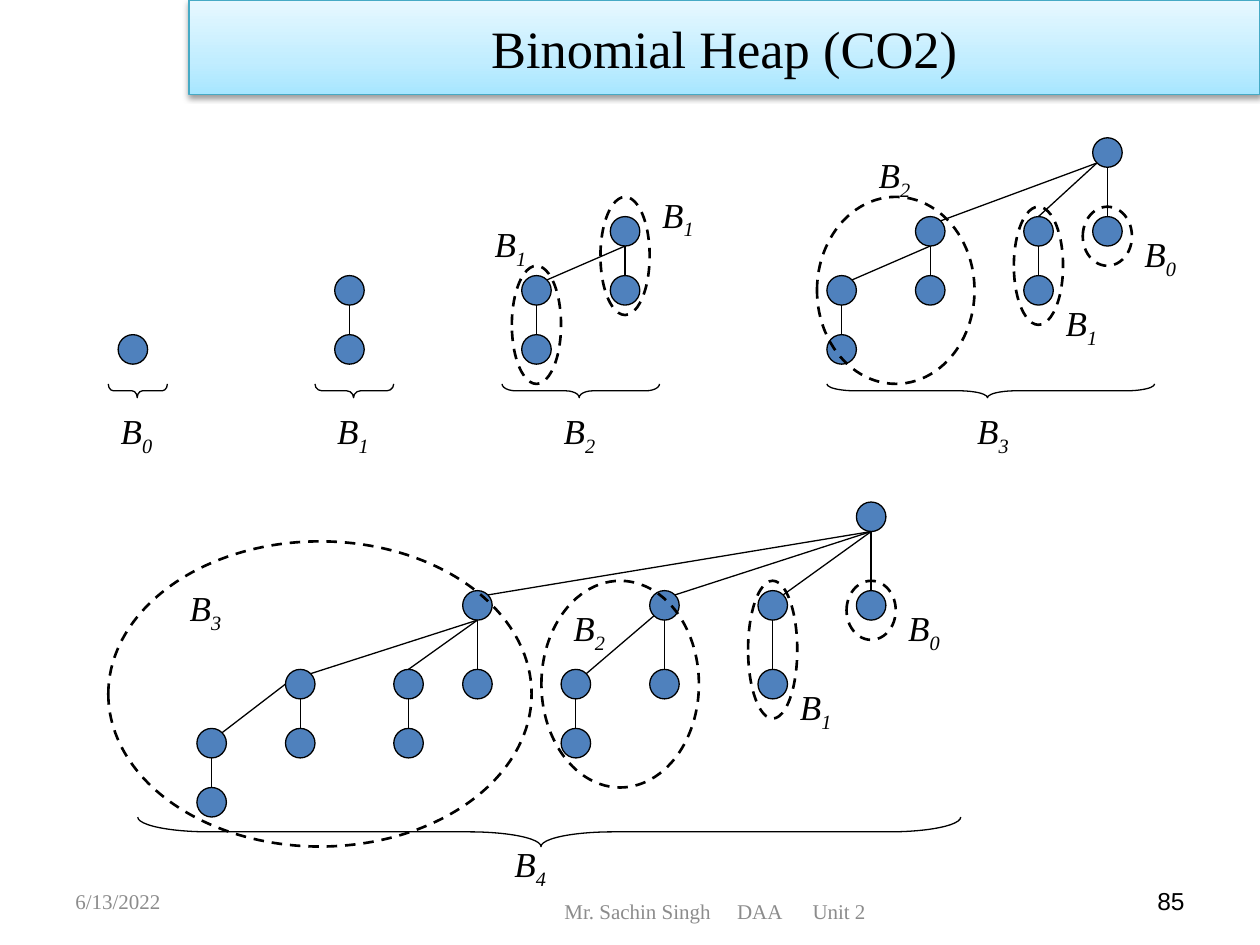
from copy import deepcopy
from math import sqrt

from lxml.etree import SubElement
from pptx import Presentation
from pptx.dml.color import RGBColor
from pptx.enum.dml import MSO_LINE
from pptx.enum.shapes import MSO_CONNECTOR, MSO_SHAPE
from pptx.enum.text import MSO_ANCHOR, PP_ALIGN
from pptx.oxml.ns import qn
from pptx.util import Cm, Pt

GRID = 2.54 / 12.8  # the drawing sits on a grid of 12.8 steps to the inch
NODE = 3            # node diameter in grid steps
NEAR = NODE / 2 * (1 - 1 / sqrt(2))
FAR = NODE - NEAR
SITES = {
    "top": (NODE / 2, 0),
    "left": (0, NODE / 2),
    "bottom": (NODE / 2, NODE),
    "lower left": (NEAR, FAR),
    "upper right": (FAR, NEAR),
}


def color(hex_string):
    return RGBColor.from_string(hex_string)


def grid(steps):
    return Cm(steps * GRID)


def node(x, y, *branches):
    """A tree node with its branches, each (own site, child site, child)."""
    return x, y, branches


def below(child):
    return "bottom", "top", child


def slanted(child, start="bottom", end="upper right"):
    return start, end, child


def pair(x, y, gap=6):
    return node(x, y, below(node(x, y + gap)))


class HeapSlide:
    """Style and current slide for the binomial tree drawing."""

    serif, sans = "Times New Roman", "Arial"
    ink, gray, node_fill = "000000", "8C8C8C", "4F81BD"
    thin, thick = Pt(0.75), Pt(1.5)

    def __init__(self, slide):
        self.slide = slide
        self.shapes = slide.shapes

    def add_run(self, paragraph, text, size, face=None, tint=None, italic=False):
        run = paragraph.add_run()
        run.text = text
        run.font.size = Pt(size)
        run.font.name = face or self.serif
        run.font.color.rgb = color(tint or self.ink)
        run.font.italic = italic
        return run

    def title(self, text):
        banner = self.shapes.title
        banner.left, banner.top, banner.width, banner.height = (
            Cm(3.81), Cm(0), Cm(21.59), Cm(1.9))
        banner.fill.gradient()
        banner.fill.gradient_angle = 90
        properties = banner._element.spPr
        stop_list = properties.find(".//" + qn("a:gsLst"))
        stop_list.append(deepcopy(stop_list[-1]))
        stops = ((0, "A7E6FF"), (0.35, "C1EDFF"), (1, "E7F8FF"))
        for stop, (position, tint) in zip(banner.fill.gradient_stops, stops):
            stop.position = position
            stop.color.rgb = color(tint)
        banner.line.color.rgb = color("46AAC5")
        banner.line.width = self.thin

        effects = SubElement(properties, qn("a:effectLst"))
        shadow = SubElement(effects, qn("a:outerShdw"), blurRad="40000",
                            dist="20000", dir="5400000", rotWithShape="0")
        shade = SubElement(shadow, qn("a:srgbClr"), val=self.ink)
        SubElement(shade, qn("a:alpha"), val="38000")

        frame = banner.text_frame
        frame.vertical_anchor = MSO_ANCHOR.MIDDLE
        frame.paragraphs[0].alignment = PP_ALIGN.CENTER
        self.add_run(frame.paragraphs[0], text, 30)

    def outline(self, shape, width):
        shape.shadow.inherit = False
        shape.line.color.rgb = color(self.ink)
        shape.line.width = width

    def circle(self, x, y):
        circle = self.shapes.add_shape(
            MSO_SHAPE.OVAL, grid(x), grid(y), grid(NODE), grid(NODE))
        circle.fill.solid()
        circle.fill.fore_color.rgb = color(self.node_fill)
        self.outline(circle, self.thin)

    def edge(self, start, end):
        edge = self.shapes.add_connector(
            MSO_CONNECTOR.STRAIGHT, *(grid(step) for step in start + end))
        edge.line.color.rgb = color(self.ink)
        edge.line.width = self.thin
        SubElement(edge._element.spPr, qn("a:effectLst"))

    def tree(self, root):
        x, y, branches = root
        self.circle(x, y)
        for start, end, child in branches:
            (start_x, start_y), (end_x, end_y) = SITES[start], SITES[end]
            self.edge((x + start_x, y + start_y),
                      (child[0] + end_x, child[1] + end_y))
            self.tree(child)

    def subtree_ring(self, x, y, width, height):
        ring = self.shapes.add_shape(
            MSO_SHAPE.OVAL, grid(x), grid(y), grid(width), grid(height))
        ring.fill.background()
        self.outline(ring, self.thick)
        ring.line.dash_style = MSO_LINE.DASH

    def brace(self, x, y, span, depth):
        """A brace pointing down, given by its box after the turn."""
        shift = (span - depth) / 2
        brace = self.shapes.add_shape(
            MSO_SHAPE.LEFT_BRACE, grid(x + shift), grid(y - shift),
            grid(depth), grid(span))
        brace.rotation = 270
        brace.adjustments[0] = 0.087 * span / depth
        brace.adjustments[1] = 0.49
        brace.fill.background()
        self.outline(brace, self.thin)

    def label(self, order, x, y):
        box = self.shapes.add_textbox(grid(x), grid(y), grid(6), Cm(1.11))
        paragraph = box.text_frame.paragraphs[0]
        self.add_run(paragraph, "B", 20, italic=True)
        subscript = self.add_run(paragraph, str(order), 20, italic=True)
        subscript._r.get_or_add_rPr().set("baseline", "-25000")

    def footer(self, text, left, top, width, align=PP_ALIGN.LEFT, tabs=(), **style):
        box = self.shapes.add_textbox(Cm(left), Cm(top), Cm(width), Cm(1.01))
        frame = box.text_frame
        frame.word_wrap = True
        frame.vertical_anchor = MSO_ANCHOR.MIDDLE
        paragraph = frame.paragraphs[0]
        paragraph.alignment = align
        if tabs:
            tab_list = SubElement(paragraph._p.get_or_add_pPr(), qn("a:tabLst"))
            for tab in tabs:
                SubElement(tab_list, qn("a:tab"), pos=str(Cm(tab)), algn="l")
        self.add_run(paragraph, text, **style)


def main():
    deck = Presentation()
    deck.slide_width, deck.slide_height = Cm(25.4), Cm(19.05)
    heap = HeapSlide(deck.slides.add_slide(deck.slide_layouts[5]))
    heap.title("Binomial Heap (CO2)")

    b0 = node(12, 34)
    b1 = pair(34, 28)
    b2 = node(62, 22, below(node(62, 28)), slanted(pair(53, 28)))
    b3 = node(111, 14,
              below(node(111, 22)),
              slanted(pair(104, 22), "lower left", "top"),
              slanted(node(93, 22, below(node(93, 28)), slanted(pair(84, 28))),
                      "lower left"))
    b4_b3 = node(47, 60,
                 below(node(47, 68)),
                 slanted(pair(40, 68), end="top"),
                 slanted(node(29, 68, below(node(29, 74)),
                              slanted(pair(20, 74), "left"))))
    b4_b2 = node(66, 60, below(node(66, 68)),
                 slanted(pair(57, 68), "lower left"))
    b4 = node(87, 51, below(node(87, 60)), slanted(pair(77, 60, gap=8)),
              slanted(b4_b2), slanted(b4_b3))
    for root in (b0, b1, b2, b3, b4):
        heap.tree(root)

    for ring in ((61, 20, 5, 12), (52, 27, 5, 12),
                 (83, 20, 16, 19), (103, 21, 5, 12), (110, 21, 5, 6),
                 (11, 55, 43, 31), (55, 59, 16, 21), (76, 59, 5, 14), (86, 59, 5, 6)):
        heap.subtree_ring(*ring)

    for x, span in ((11, 6), (32, 8), (51, 16), (84, 33.3)):
        heap.brace(x, 39, span, 1.4)
    heap.brace(14, 83, 83.6, 3)

    for order, x in enumerate((11, 33, 56, 98)):
        heap.label(order, x, 41)
    for order, x, y in ((1, 49, 22), (1, 66, 19),
                        (2, 88, 15), (1, 107, 30), (0, 115, 23),
                        (3, 18, 59), (2, 57, 61), (1, 80, 69), (0, 91, 61),
                        (4, 51, 85)):
        heap.label(order, x, y)

    heap.footer("6/13/2022", 1.27, 17.66, 5.93, size=12, tint=heap.gray)
    heap.footer("Mr. Sachin Singh\tDAA\tUnit 2", 11.13, 17.86, 9.24,
                tabs=(3.48, 5), size=12, tint=heap.gray)
    heap.footer("85", 18.2, 17.66, 5.93, PP_ALIGN.RIGHT, size=14, face=heap.sans)

    deck.save("out.pptx")


if __name__ == "__main__":
    main()
